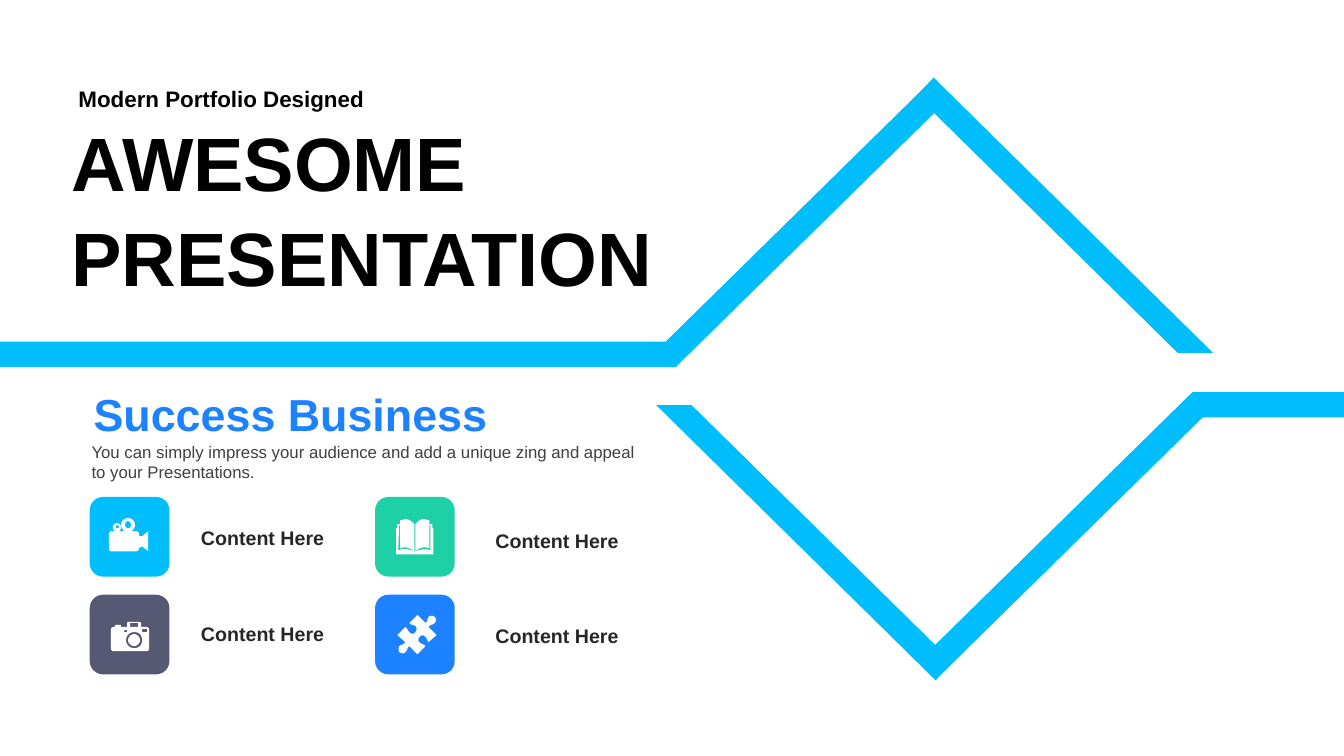
from dataclasses import dataclass

from pptx import Presentation
from pptx.dml.color import RGBColor
from pptx.enum.shapes import MSO_SHAPE
from pptx.enum.text import MSO_ANCHOR, MSO_AUTO_SIZE, PP_ALIGN
from pptx.shapes.autoshape import Shape
from pptx.slide import Slide
from pptx.util import Inches, Pt

Point = tuple[float, float]

CYAN = "00BDFB"
BLUE = "1C82FF"
WHITE = "FFFFFF"
BLACK = "000000"
CURVE_STEPS = 6
DIAMOND_CENTER = (9.27, 3.76)


@dataclass
class Bar:
    left: float
    top: float
    width: float
    height: float
    rotation: float = 0


@dataclass
class Label:
    text: str
    left: float
    top: float
    width: float
    height: float
    size: int
    color: str
    bold: bool = True
    align: PP_ALIGN = PP_ALIGN.LEFT
    anchor: MSO_ANCHOR = MSO_ANCHOR.MIDDLE


@dataclass
class Tile:
    left: float
    top: float
    color: str
    label_left: float
    label_top: float
    icon: list[str]


CAMERA = [
    """1.33,6.29 C 1.36,6.29 1.39,6.32 1.39,6.35 C 1.39,6.38 1.36,6.41 1.33,6.41
    C 1.3,6.41 1.27,6.38 1.27,6.35 C 1.27,6.32 1.3,6.29 1.33,6.29""",
    """1.33,6.27 C 1.29,6.27 1.25,6.3 1.25,6.35 C 1.25,6.4 1.29,6.43 1.33,6.43
    C 1.38,6.43 1.41,6.4 1.41,6.35 C 1.41,6.3 1.38,6.27 1.33,6.27""",
    "1.23,6.25 1.23,6.27 1.26,6.27 1.26,6.25",
    "1.41,6.24 1.41,6.27 1.46,6.27 1.46,6.24",
    "1.29,6.18 1.29,6.22 1.37,6.22 1.37,6.18",
    """1.27,6.17 1.39,6.17 1.4,6.18 1.4,6.22 1.45,6.22 C 1.47,6.22 1.48,6.23 1.48,6.25
    L 1.48,6.43 C 1.48,6.45 1.47,6.46 1.45,6.46 L 1.13,6.46 C 1.11,6.46 1.1,6.45 1.1,6.43
    L 1.1,6.25 C 1.1,6.23 1.11,6.22 1.13,6.22 L 1.14,6.22 1.14,6.2 1.2,6.2 1.2,6.22
    1.26,6.22 1.26,6.18""",
]

VIDEO = [
    """1.16,5.21 C 1.15,5.21 1.15,5.22 1.15,5.23 C 1.15,5.24 1.15,5.24 1.16,5.24
    C 1.17,5.24 1.18,5.24 1.18,5.23 C 1.18,5.22 1.17,5.21 1.16,5.21""",
    """1.27,5.17 C 1.25,5.17 1.24,5.19 1.24,5.21 C 1.24,5.22 1.25,5.24 1.27,5.24
    C 1.29,5.24 1.3,5.22 1.3,5.21 C 1.3,5.19 1.29,5.17 1.27,5.17""",
    """1.27,5.14 C 1.31,5.14 1.34,5.17 1.34,5.21 C 1.34,5.23 1.32,5.26 1.3,5.27
    L 1.35,5.27 C 1.36,5.27 1.38,5.28 1.38,5.3 L 1.38,5.32 1.41,5.32 1.47,5.27
    1.47,5.47 1.41,5.42 1.4,5.43 1.38,5.43 1.38,5.44 C 1.38,5.46 1.36,5.47 1.35,5.47
    L 1.11,5.47 C 1.09,5.47 1.08,5.46 1.08,5.44 L 1.08,5.3 C 1.08,5.28 1.09,5.27 1.11,5.27
    L 1.14,5.27 C 1.13,5.26 1.12,5.25 1.12,5.23 C 1.12,5.21 1.14,5.19 1.16,5.19
    C 1.18,5.19 1.2,5.21 1.2,5.23 C 1.2,5.25 1.19,5.26 1.18,5.27 L 1.24,5.27
    C 1.22,5.26 1.2,5.23 1.2,5.21 C 1.2,5.17 1.23,5.14 1.27,5.14""",
]

PUZZLE = [
    """4.31,6.12 C 4.33,6.14 4.33,6.16 4.31,6.18 C 4.3,6.2 4.27,6.19 4.25,6.22
    L 4.33,6.3 4.25,6.37 C 4.23,6.35 4.24,6.33 4.21,6.31 C 4.2,6.3 4.17,6.3 4.16,6.32
    C 4.15,6.33 4.14,6.36 4.16,6.37 C 4.19,6.4 4.19,6.38 4.22,6.41 L 4.14,6.49 4.06,6.41
    C 4.03,6.43 4.05,6.44 4.02,6.47 C 4,6.49 3.98,6.48 3.96,6.47
    C 3.95,6.45 3.95,6.43 3.96,6.41 C 3.98,6.39 4,6.4 4.02,6.37 L 3.94,6.3 4.02,6.22
    C 4.05,6.24 4.04,6.26 4.07,6.28 C 4.08,6.29 4.11,6.29 4.12,6.27
    C 4.13,6.26 4.14,6.23 4.12,6.21 C 4.09,6.19 4.09,6.21 4.06,6.18 L 4.14,6.1 4.22,6.18
    C 4.25,6.16 4.23,6.15 4.25,6.12 C 4.27,6.1 4.3,6.11 4.31,6.12""",
]

BOOK = [
    """4.11,5.47 4.12,5.47 C 4.18,5.45 4.21,5.44 4.27,5.46 L 4.27,5.21 4.26,5.21 4.26,5.44
    C 4.21,5.42 4.16,5.43 4.12,5.47 L 4.12,5.2 C 4.15,5.17 4.17,5.15 4.2,5.15
    C 4.22,5.15 4.24,5.16 4.26,5.16 L 4.26,5.2 4.29,5.2 4.29,5.24 4.3,5.24 4.3,5.5
    3.93,5.5 3.93,5.24 3.94,5.24 3.94,5.2 3.97,5.2 3.97,5.16
    C 3.99,5.16 4.01,5.15 4.02,5.15 C 4.06,5.15 4.08,5.17 4.11,5.2 L 4.11,5.47
    C 4.06,5.43 4.02,5.42 3.97,5.44 L 3.97,5.21 3.96,5.21 3.95,5.46
    C 4.02,5.43 4.05,5.45 4.11,5.47""",
]

BARS = [
    Bar(0, 3.39, 6.71, 0.25),
    Bar(7.82, 0.38, 0.25, 3.73, 45.5),
    Bar(11.83, 3.89, 1.51, 0.25),
    Bar(10.46, 3.42, 0.25, 3.73, 225.5),
]
CUT_BAND = [(9.26, 0.77), (12.03, 3.5), (11.68, 3.5), (9.09, 0.95)]
TILE_SIZE = 0.79
TILES = [
    Tile(0.89, 4.93, CYAN, 1.75, 5.16, VIDEO),
    Tile(0.89, 5.9, "565874", 1.75, 6.12, CAMERA),
    Tile(3.72, 4.93, "1ED0A6", 4.67, 5.19, BOOK),
    Tile(3.72, 5.9, BLUE, 4.67, 6.14, PUZZLE),
]
LABELS = [
    Label("Modern Portfolio Designed", 0.68, 0.8, 3.39, 0.37, 16, BLACK, anchor=MSO_ANCHOR.TOP),
    Label("Success Business", 0.83, 3.87, 5.58, 0.47, 32, BLUE),
    Label("You can simply impress your audience and add a unique zing and appeal to your Presentations.",
          0.81, 4.33, 5.6, 0.5, 12, "404040", False, anchor=MSO_ANCHOR.TOP),
]
TITLE = Label("AWESOME\nPRESENTATION", 0.61, 1.09, 7.36, 1.92, 54, BLACK)


def rgb(color: str) -> RGBColor:
    return RGBColor.from_string(color)


def paint(shape: Shape, color: str) -> None:
    shape.shadow.inherit = False
    shape.fill.solid()
    shape.fill.fore_color.rgb = rgb(color)
    shape.line.fill.background()


def add_box(slide: Slide, kind: MSO_SHAPE, box: Bar, color: str) -> None:
    shape = slide.shapes.add_shape(
        kind, Inches(box.left), Inches(box.top), Inches(box.width), Inches(box.height))
    shape.rotation = box.rotation
    paint(shape, color)


def curve(*corners: Point) -> list[Point]:
    points = []
    for step in range(1, CURVE_STEPS + 1):
        t = step / CURVE_STEPS
        weights = ((1 - t) ** 3, 3 * t * (1 - t) ** 2, 3 * t * t * (1 - t), t ** 3)
        points.append(tuple(sum(w * c[axis] for w, c in zip(weights, corners)) for axis in (0, 1)))
    return points


def trace(outline: str) -> list[Point]:
    points = []
    for segment in outline.replace("L", "|L").replace("C", "|C").split("|"):
        pairs = [tuple(map(float, pair.split(","))) for pair in segment.strip("LC \n").split()]
        points += curve(points[-1], *pairs) if segment.startswith("C") else pairs
    return points


def add_outline(slide: Slide, contours: list[list[Point]], color: str) -> None:
    scaled = [[(Inches(x), Inches(y)) for x, y in contour] for contour in contours]
    builder = slide.shapes.build_freeform(*scaled[0][0])
    builder.add_line_segments(scaled[0][1:])
    for contour in scaled[1:]:
        builder.move_to(*contour[0])
        builder.add_line_segments(contour[1:])
    paint(builder.convert_to_shape(), color)


def write(shape: Shape, label: Label, line_spacing: float = 1.0) -> None:
    shape.left, shape.top = Inches(label.left), Inches(label.top)
    shape.width, shape.height = Inches(label.width), Inches(label.height)
    frame = shape.text_frame
    frame.word_wrap = True
    frame.auto_size = MSO_AUTO_SIZE.NONE
    frame.vertical_anchor = label.anchor
    for index, line in enumerate(label.text.split("\n")):
        paragraph = frame.add_paragraph() if index else frame.paragraphs[0]
        paragraph.alignment = label.align
        paragraph.line_spacing = line_spacing
        run = paragraph.add_run()
        run.text = line
        run.font.name = "Arial"
        run.font.size = Pt(label.size)
        run.font.bold = label.bold
        run.font.color.rgb = rgb(label.color)


def add_label(slide: Slide, label: Label) -> None:
    write(slide.shapes.add_textbox(0, 0, 0, 0), label)


def main() -> None:
    presentation = Presentation()
    presentation.slide_width, presentation.slide_height = Inches(13.33), Inches(7.5)
    slide = presentation.slides.add_slide(presentation.slide_layouts[5])
    write(slide.shapes.title, TITLE, 1.05)
    for bar in BARS:
        add_box(slide, MSO_SHAPE.RECTANGLE, bar, CYAN)
    center_x, center_y = DIAMOND_CENTER
    half_turn = [(2 * center_x - x, 2 * center_y - y) for x, y in CUT_BAND]
    for band in (CUT_BAND, half_turn):
        add_outline(slide, [band], CYAN)
    for tile in TILES:
        add_box(slide, MSO_SHAPE.ROUNDED_RECTANGLE, Bar(tile.left, tile.top, TILE_SIZE, TILE_SIZE), tile.color)
        add_outline(slide, [trace(contour) for contour in tile.icon], WHITE)
        add_label(slide, Label("Content Here", tile.label_left, tile.label_top, 1.71, 0.34, 14, "262626",
                               align=PP_ALIGN.CENTER))
    for label in LABELS:
        add_label(slide, label)
    presentation.save("out.pptx")


if __name__ == "__main__":
    main()
